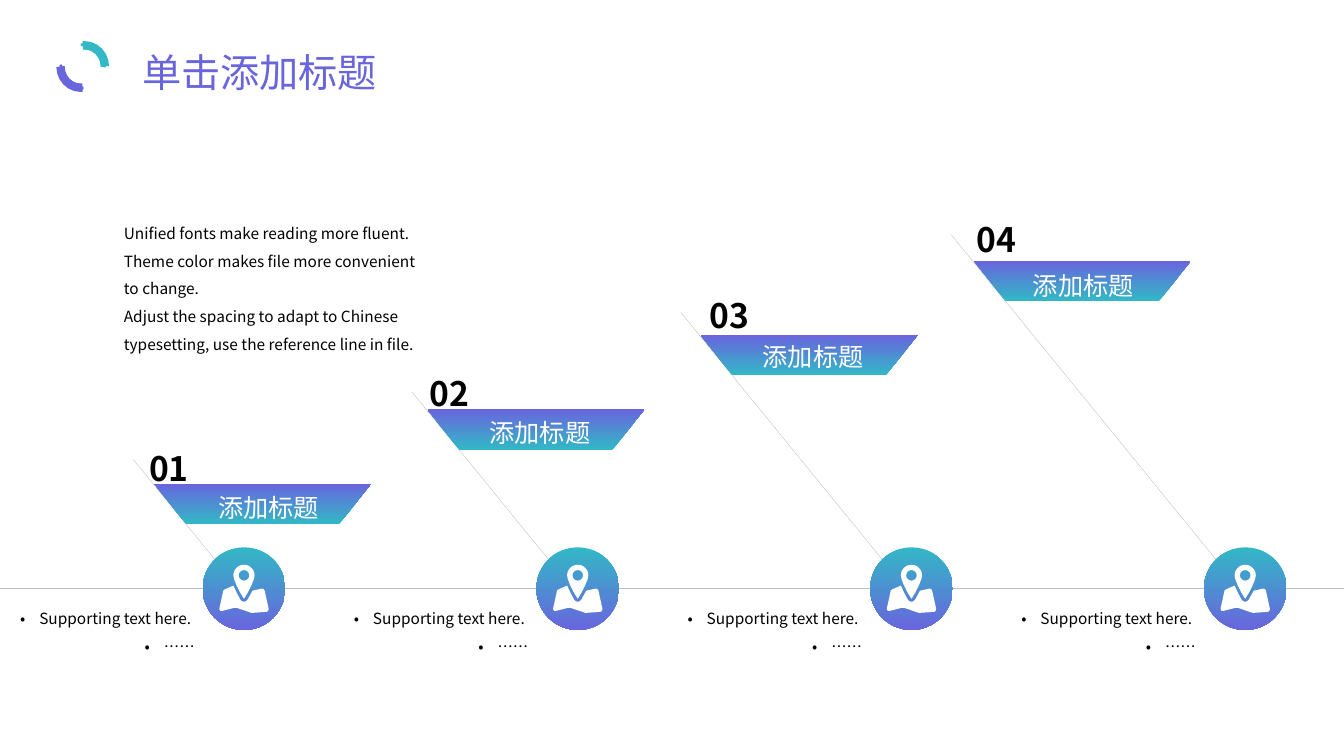
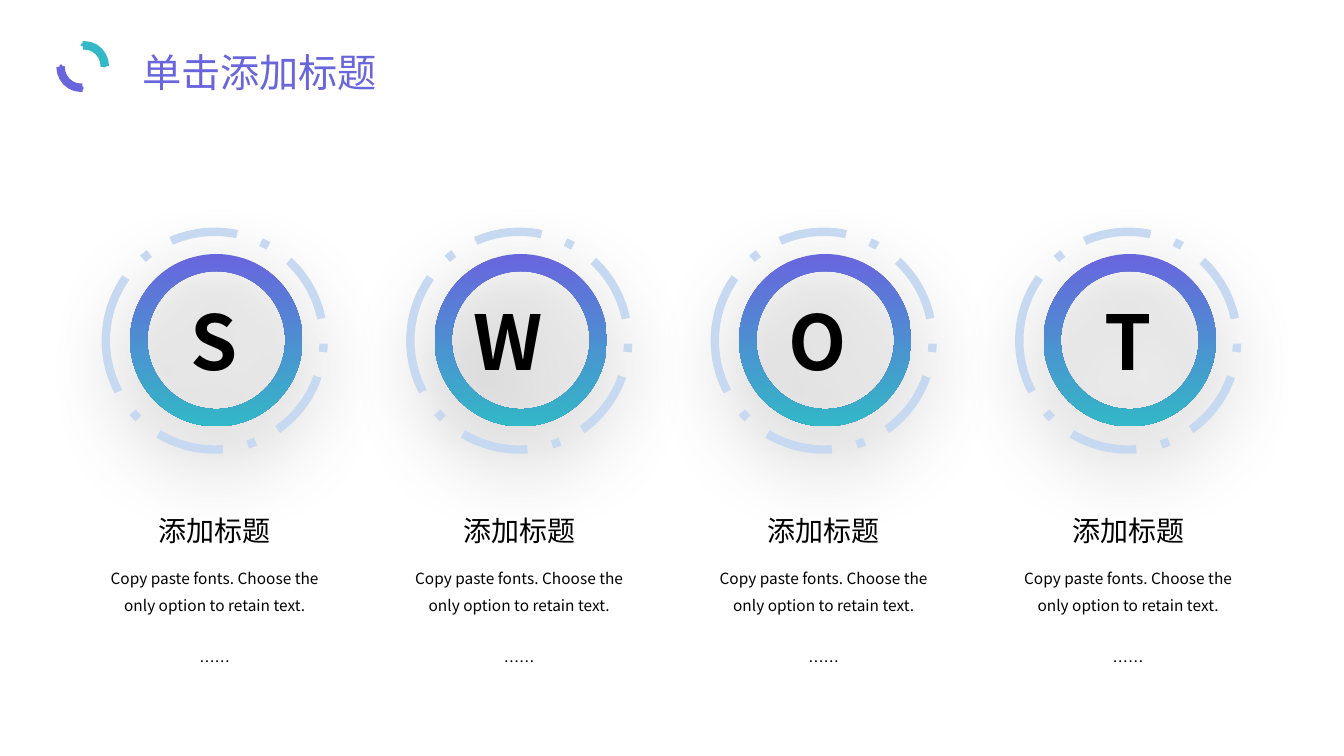
"""Build a rising four-step timeline slide and a SWOT slide on a tenth-inch grid."""
import math
from dataclasses import dataclass
from typing import Any, Optional, Sequence

from lxml import etree
from pptx import Presentation
from pptx import util as u
from pptx.dml import color as colors
from pptx.enum import dml, shapes, text
from pptx.oxml import ns

COLUMNS, ROWS = 133.3, 75
KIND = shapes.MSO_SHAPE
ALIGN = text.PP_ALIGN
ANCHOR = text.MSO_ANCHOR


@dataclass(frozen=True)
class Theme:
    """Colours, font and type sizes of the deck."""
    violet: str = "6965DD"
    teal: str = "32B8C6"
    ring: str = "C6D9F1"
    rule: str = "BFBFBF"
    ink: str = "000000"
    paper: str = "FFFFFF"
    font: str = "Noto Sans CJK JP"
    body: float = 11
    label: float = 18
    heading: float = 20
    number: float = 24
    title: float = 28
    letter: float = 54
    hairline: float = 0.25
    stroke: float = 6


@dataclass(frozen=True)
class Box:
    """Area in grid columns and rows."""
    left: float
    top: float
    width: float
    height: float

    def lengths(self) -> tuple[int, int, int, int]:
        """Return the area as slide lengths."""
        return cell(self.left), cell(self.top), cell(self.width), cell(self.height)


@dataclass(frozen=True)
class Step:
    """One milestone, with the height of its pole and the places of its texts."""
    number: str
    rise: float
    number_left: float
    number_top: float
    label_left: float
    label_top: float


THEME = Theme()
HEADING = "添加标题"
STEPS = (
    Step("01", 9.9, 13.8, 42.7, 15.9, 48),
    Step("02", 16.6, 41.6, 35.3, 42.8, 40.6),
    Step("03", 24.5, 69.4, 27.5, 69.9, 33.1),
    Step("04", 32.2, 95.9, 20, 96.7, 26),
)
INTRO = (
    "Unified fonts make reading more fluent.",
    "Theme color makes file more convenient to change.",
    "Adjust the spacing to adapt to Chinese typesetting, use the reference line in file.",
)
MAP_OUTLINE = (
    (14, 21), (17.5, 28.5), (21, 35), (22.5, 36.5), (24.5, 37), (26.5, 36.5), (28, 35), (33, 26),
    (42, 24), (44, 24.3), (45, 26), (49, 44), (48.5, 46), (47, 47), (33, 48), (32, 48),
    (17, 43), (15, 43), (3, 46), (1, 46), (0, 44), (4, 26), (5, 25), (6, 24.5),
)
PIN_SIDE = ((10, 14), (7.5, 20.5), (4, 27.5), (1, 32.5), (0, 34))
PIN_CENTRE = (24.5, 10.8)


def cell(count: float) -> int:
    """Return the length of a number of grid cells."""
    return u.Inches(count / 10)


def rgb(value: str) -> colors.RGBColor:
    """Return a colour from its hexadecimal form."""
    return colors.RGBColor.from_string(value)


def blend(fill: Any, first: str, last: str, angle: float = 270) -> None:
    """Give a fill a two-colour gradient."""
    fill.gradient()
    fill.gradient_angle = angle
    for stop, value in zip(fill.gradient_stops, (first, last)):
        stop.color.rgb = rgb(value)


def write(frame: Any, lines: Sequence[str], *, size: float, color: str = THEME.ink,
          bold: bool = False, align: Any = ALIGN.LEFT, anchor: Any = ANCHOR.TOP,
          spacing: float = 1.0, wrap: bool = True, bullet: str = "",
          last_gap: float = 0) -> None:
    """Write paragraphs with one format into a text frame."""
    frame.word_wrap = wrap
    frame.auto_size = text.MSO_AUTO_SIZE.NONE
    frame.vertical_anchor = anchor
    for index, line in enumerate(lines):
        para = frame.paragraphs[0] if index == 0 else frame.add_paragraph()
        para.alignment = align
        para.line_spacing = spacing
        if last_gap and index == len(lines) - 1:
            para.space_before = u.Pt(last_gap)
        if bullet:
            properties = para._p.get_or_add_pPr()
            properties.set("marL", str(cell(1.9)))
            properties.set("indent", str(-cell(1.9)))
            etree.SubElement(properties, ns.qn("a:buFont")).set("typeface", THEME.font)
            etree.SubElement(properties, ns.qn("a:buChar")).set("char", bullet)
        span = para.add_run()
        span.text = line
        span.font.size = u.Pt(size)
        span.font.bold = bold
        span.font.color.rgb = rgb(color)
        span.font.name = THEME.font
        east_asian = etree.SubElement(span.font._element, ns.qn("a:ea"))
        east_asian.set("typeface", THEME.font)


def add_text(page: Any, box: Box, *lines: str, **style: Any) -> None:
    """Add a text box."""
    write(page.shapes.add_textbox(*box.lengths()).text_frame, lines, **style)


def add_shape(page: Any, kind: Any, box: Box, *, fill: Optional[str] = None,
              gradient: Sequence[str] = (), line: Optional[str] = None,
              adjust: Sequence[float] = ()) -> Any:
    """Add a preset shape without shadow."""
    shape = page.shapes.add_shape(kind, *box.lengths())
    shape.shadow.inherit = False
    for index, value in enumerate(adjust):
        shape.adjustments[index] = value
    if gradient:
        blend(shape.fill, *gradient)
    elif fill:
        shape.fill.solid()
        shape.fill.fore_color.rgb = rgb(fill)
    else:
        shape.fill.background()
    if line:
        shape.line.color.rgb = rgb(line)
        shape.line.width = u.Pt(THEME.stroke)
    else:
        shape.line.fill.background()
    return shape


def add_rule(page: Any, left: float, top: float, right: float, bottom: float) -> None:
    """Add a thin grey line between two grid points."""
    rule = page.shapes.add_connector(
        shapes.MSO_CONNECTOR.STRAIGHT, cell(left), cell(top), cell(right), cell(bottom))
    rule.line.color.rgb = rgb(THEME.rule)
    rule.line.width = u.Pt(THEME.hairline)
    etree.SubElement(rule.element.spPr, ns.qn("a:effectLst"))


def cast_shadow(shape: Any, blur: float, distance: float, opacity: int) -> None:
    """Give a shape a soft shadow falling downwards."""
    effects = shape.element.spPr.find(ns.qn("a:effectLst"))
    shadow = etree.SubElement(effects, ns.qn("a:outerShdw"), blurRad=str(u.Pt(blur)),
                              dist=str(u.Pt(distance)), dir="5400000", rotWithShape="0")
    tint = etree.SubElement(shadow, ns.qn("a:srgbClr"), val=THEME.ink)
    etree.SubElement(tint, ns.qn("a:alpha"), val=str(opacity * 1000))


def arc_points(radius: float, start: int, end: int) -> list[tuple[float, float]]:
    """Return points around the pin's centre, every ten degrees."""
    x, y = PIN_CENTRE
    return [(x + radius * math.cos(math.radians(angle)), y + radius * math.sin(math.radians(angle)))
            for angle in range(start, end, 10)]


def add_map_icon(page: Any, left: float, top: float) -> None:
    """Add a map with a location pin at a grid point."""
    middle = PIN_CENTRE[0]
    pin = arc_points(10.5, 180, 361)
    pin += [(middle + x, y) for x, y in PIN_SIDE]
    pin += [(middle - x, y) for x, y in reversed(PIN_SIDE)]
    contours = [[(x * 10, y * 10) for x, y in points]
                for points in (MAP_OUTLINE, arc_points(5.2, 0, 360), pin)]
    builder = page.shapes.build_freeform(*contours[0][0], scale=u.Inches(1) / 1000)
    for index, points in enumerate(contours):
        if index:
            builder.move_to(*points[0])
        builder.add_line_segments(points[1:], close=True)
    icon = builder.convert_to_shape(cell(left), cell(top))
    icon.shadow.inherit = False
    icon.fill.solid()
    icon.fill.fore_color.rgb = rgb(THEME.paper)
    icon.line.fill.background()


def add_page(deck: Any, title: str) -> Any:
    """Add a slide with the shared title and its pair of arcs."""
    page = deck.slides.add_slide(deck.slide_layouts[5])
    holder = page.shapes.title
    holder.left, holder.top, holder.width, holder.height = Box(13.1, 4.3, 28.8, 5.7).lengths()
    write(holder.text_frame, [title], size=THEME.title, align=ALIGN.JUSTIFY, anchor=ANCHOR.MIDDLE)
    span = holder.text_frame.paragraphs[0].runs[0]
    blend(span.font.fill, THEME.violet, THEME.teal, 180)
    arcs = (
        (THEME.teal, 6.4, 0, ((8, 4.3), (10.2, 6.4))),
        (THEME.violet, 6, 180, ((5.9, 6.4), (8, 8.6))),
    )
    for color, left, turn, dots in arcs:
        arc = add_shape(page, KIND.ARC, Box(left, 4.5, 4, 4.2), line=color, adjust=(158.91, 0))
        arc.rotation = turn
        for x, y in dots:
            add_shape(page, KIND.OVAL, Box(x, y, 0.3, 0.3), fill=color)
    return page


def add_step(page: Any, index: int, step: Step) -> None:
    """Add one milestone of the timeline."""
    size, axis = 8.2, 58.4
    centre = 24.2 + 33.1 * index
    flag_left, flag_top = 15.3 + 27.1 * index, 48 - 7.37 * index
    gradient = (THEME.teal, THEME.violet)
    reach = size / 2 * math.sqrt(0.5)
    add_shape(page, KIND.OVAL, Box(centre - size / 2, axis - size / 2, size, size),
              gradient=gradient)
    add_map_icon(page, centre - 2.45, axis - 2.4)
    add_rule(page, centre - reach, axis - reach,
             centre - reach - 0.815 * step.rise, axis - reach - step.rise)
    add_text(page, Box(step.number_left, step.number_top, 10.2, 6.2), step.number,
             size=THEME.number, bold=True, anchor=ANCHOR.BOTTOM, spacing=1.1, wrap=False)
    flag = add_shape(page, KIND.TRAPEZOID, Box(flag_left, flag_top, 21.5, 4),
                     gradient=gradient, adjust=(0.79,))
    flag.element.spPr.find(ns.qn("a:xfrm")).set("flipV", "1")
    add_text(page, Box(step.label_left, step.label_top, 21.5, 4.6), HEADING, size=THEME.label,
             color=THEME.paper, align=ALIGN.CENTER, anchor=ANCHOR.MIDDLE, wrap=False)
    add_text(page, Box(centre - 26.8, 59, 22.9, 8.5), "Supporting text here. ", "……",
             size=THEME.body, align=ALIGN.RIGHT, spacing=1.5, bullet="•")


def add_swot(page: Any, index: int, letter: str) -> None:
    """Add one column of the SWOT slide."""
    left = 8.5 + 30.2 * index
    donut = add_shape(page, KIND.DONUT, Box(left + 4.4, 25.2, 17.1, 17.1),
                      gradient=(THEME.violet, THEME.teal), adjust=(0.1,))
    cast_shadow(donut, blur=60, distance=20, opacity=40)
    donut.text_frame.margin_right = cell(3.9)
    write(donut.text_frame, [letter], size=THEME.letter, bold=True,
          align=ALIGN.RIGHT, anchor=ANCHOR.MIDDLE)
    ring = add_shape(page, KIND.OVAL, Box(left + 2, 23, 21.6, 21.6), line=THEME.ring)
    ring.line.dash_style = dml.MSO_LINE.LONG_DASH_DOT
    add_text(page, Box(left, 50.3, 25.6, 4.7), HEADING, size=THEME.heading,
             align=ALIGN.CENTER, anchor=ANCHOR.MIDDLE, wrap=False)
    add_text(page, Box(left, 55, 25.6, 12.5),
             "Copy paste fonts. Choose the only option to retain text.", "……",
             size=THEME.body, align=ALIGN.CENTER, spacing=1.5, last_gap=20)


def main() -> None:
    """Build and save the deck."""
    deck = Presentation()
    deck.slide_width, deck.slide_height = cell(COLUMNS), cell(ROWS)
    timeline = add_page(deck, "单击添加标题")
    add_rule(timeline, 0, 58.4, COLUMNS, 58.4)
    add_text(timeline, Box(11.3, 20.8, 32.5, 16.5), *INTRO, size=THEME.body, spacing=1.5)
    for index, step in enumerate(STEPS):
        add_step(timeline, index, step)
    swot = add_page(deck, "单击添加标题")
    for index, letter in enumerate("SWOT"):
        add_swot(swot, index, letter)
    deck.save("out.pptx")


if __name__ == "__main__":
    main()
